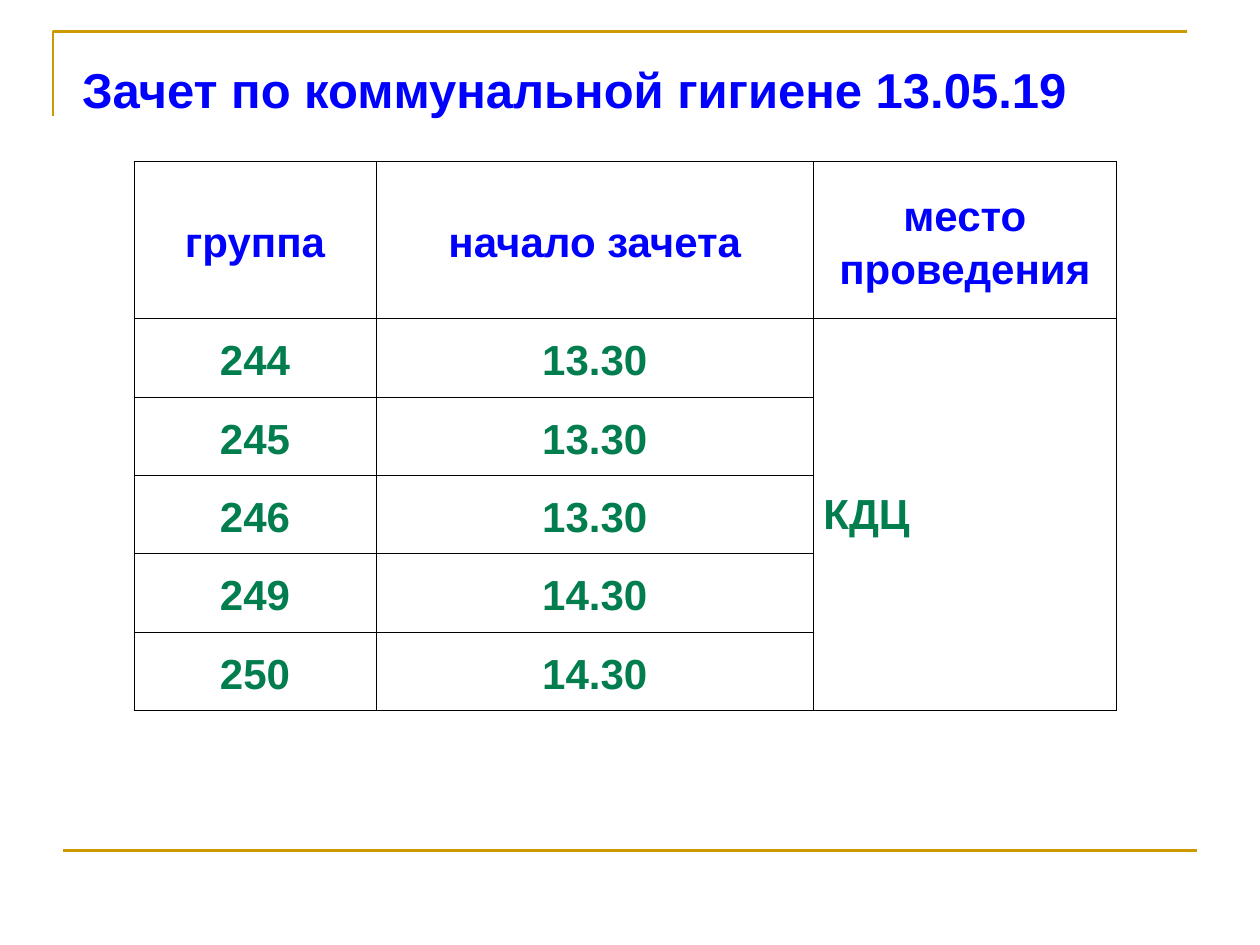
from lxml import etree
from pptx import Presentation, util as u
from pptx.dml import color
from pptx.enum import shapes, text
from pptx.oxml import ns, xmlchemy

COLORS = {"heading": "0000FF", "value": "017D4E", "rule": "CC9900", "border": "000000"}


def rgb(name):
    return color.RGBColor.from_string(COLORS[name])


def assign(target, values):
    for name, value in values.items():
        setattr(target, name, value)


class SlideBuilder:
    font = "Arial"
    rule_width = u.Pt(1.5)
    border_width = u.Pt(0.45)

    def __init__(self, slide):
        self.slide = slide

    def format_text(self, paragraph, size, color_name):
        assign(paragraph.font, {"name": self.font, "size": u.Pt(size), "bold": True})
        paragraph.font.color.rgb = rgb(color_name)

    def format_rule(self, shape):
        shape.line.color.rgb = rgb("rule")
        shape.line.width = self.rule_width

    def title(self, words, left, top, width, height):
        shape = self.slide.shapes.title
        assign(shape, {"left": u.Cm(left), "top": u.Cm(top),
                       "width": u.Cm(width), "height": u.Cm(height)})
        frame = shape.text_frame
        frame.text = words
        assign(frame, {"word_wrap": False, "vertical_anchor": text.MSO_ANCHOR.TOP,
                       "auto_size": text.MSO_AUTO_SIZE.SHAPE_TO_FIT_TEXT})
        paragraph = frame.paragraphs[0]
        paragraph.alignment = text.PP_ALIGN.LEFT
        self.format_text(paragraph, 28, "heading")

    def corner(self, left, top, right, bottom):
        builder = self.slide.shapes.build_freeform(u.Cm(left), u.Cm(bottom))
        builder.add_line_segments(
            [(u.Cm(left), u.Cm(top)), (u.Cm(right), u.Cm(top))], close=False)
        shape = builder.convert_to_shape()
        shape.shadow.inherit = False
        shape.fill.background()
        self.format_rule(shape)

    def line(self, left, right, top):
        connector = self.slide.shapes.add_connector(
            shapes.MSO_CONNECTOR.STRAIGHT, u.Cm(left), u.Cm(top), u.Cm(right), u.Cm(top))
        self.format_rule(connector)
        etree.SubElement(connector._element.spPr, ns.qn("a:effectLst"))

    def borders(self, cell):
        properties = cell._tc.get_or_add_tcPr()
        for index, side in enumerate(("lnL", "lnR", "lnT", "lnB")):
            border = xmlchemy.OxmlElement(f"a:{side}")
            border.set("w", str(int(self.border_width)))
            fill = etree.SubElement(border, ns.qn("a:solidFill"))
            etree.SubElement(fill, ns.qn("a:srgbClr"), val=COLORS["border"])
            properties.insert(index, border)

    def cell(self, cell, words, color_name):
        cell.text = words
        cell.fill.background()
        assign(cell, {"vertical_anchor": text.MSO_ANCHOR.MIDDLE,
                      "margin_left": u.Cm(0.2), "margin_right": u.Cm(0.2),
                      "margin_top": u.Cm(0.13), "margin_bottom": u.Cm(0.13)})
        paragraph = cell.text_frame.paragraphs[0]
        assign(paragraph, {"alignment": text.PP_ALIGN.CENTER, "line_spacing": 1.15})
        self.format_text(paragraph, 24, color_name)
        self.borders(cell)

    def table(self, rows, left, top, widths, heights):
        table = self.slide.shapes.add_table(
            len(rows), len(widths), u.Cm(left), u.Cm(top),
            u.Cm(sum(widths)), u.Cm(sum(heights))).table
        assign(table, {"first_row": False, "horz_banding": False})
        for column, width in zip(table.columns, widths):
            column.width = u.Cm(width)
        for row, height in zip(table.rows, heights):
            row.height = u.Cm(height)
        for row_index, row in enumerate(rows):
            for column_index, words in enumerate(row):
                self.cell(table.cell(row_index, column_index), words,
                          "value" if row_index else "heading")
        return table


def main():
    presentation = Presentation()
    assign(presentation, {"slide_width": u.Cm(25.4), "slide_height": u.Cm(19.05)})
    builder = SlideBuilder(presentation.slides.add_slide(presentation.slide_layouts[5]))

    builder.corner(1.07, 0.64, 23.93, 2.34)
    builder.line(1.27, 24.13, 17.15)
    builder.title("Зачет по коммунальной гигиене 13.05.19", 1.4, 1.07, 20.42, 1.45)

    starts = {"244": "13.30", "245": "13.30", "246": "13.30",
              "249": "14.30", "250": "14.30"}
    rows = [("группа", "начало зачета", "место проведения")]
    rows += [(group, start, "") for group, start in starts.items()]
    table = builder.table(rows, 2.7, 3.25, (4.88, 8.82, 6.1),
                          [3.17] + [1.58] * len(starts))
    place = table.cell(1, 2)
    place.merge(table.cell(len(starts), 2))
    place.text = "КДЦ"
    builder.format_text(place.text_frame.paragraphs[0], 24, "value")

    presentation.save("out.pptx")


if __name__ == "__main__":
    main()
